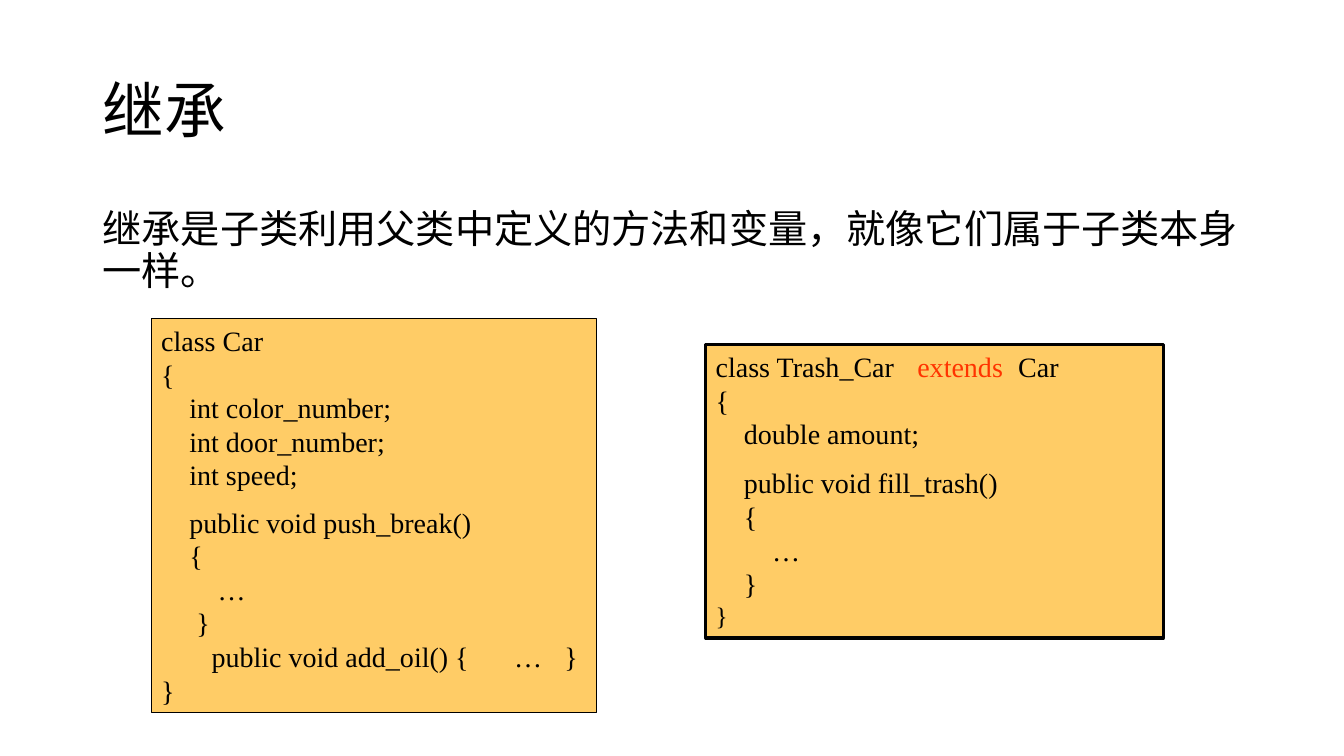
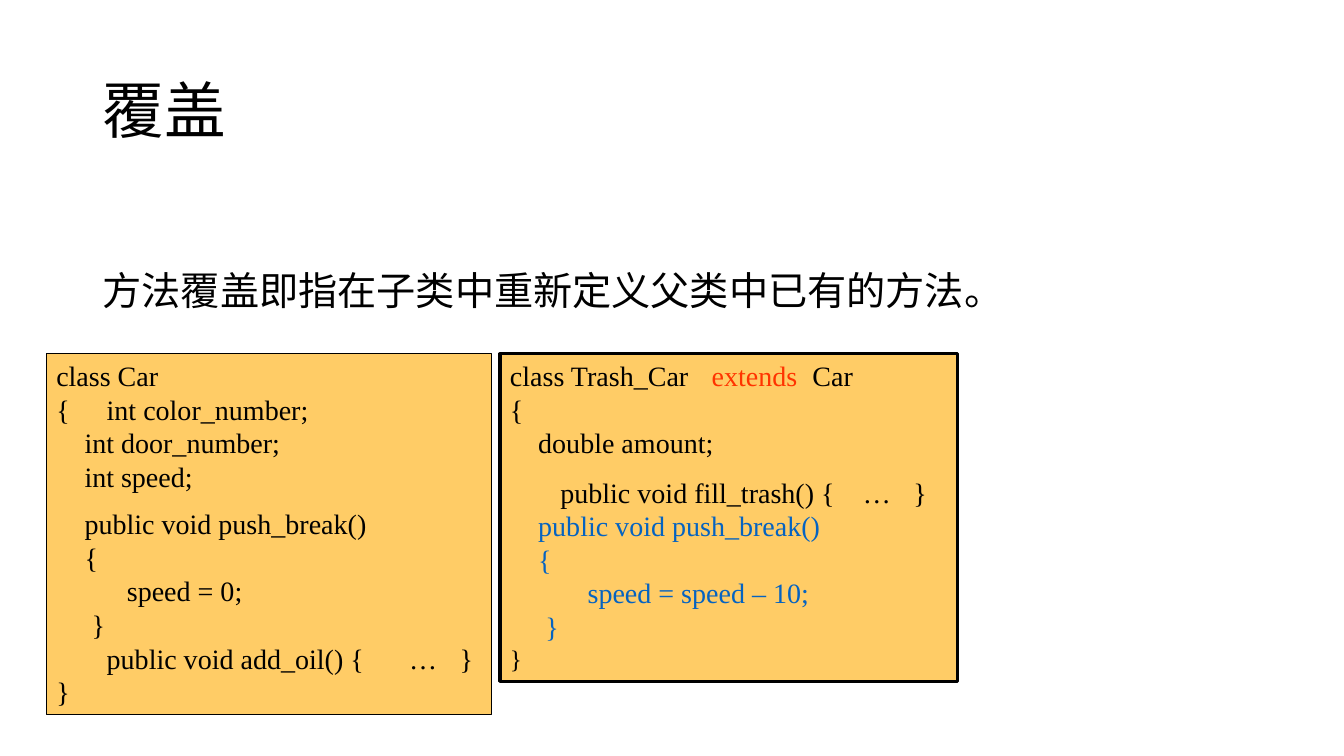
import pptx
import pptx.util
import pptx.dml.color
import pptx.enum.shapes
import pptx.enum.text
import lxml.etree

Inches, Pt = pptx.util.Inches, pptx.util.Pt
RGB = pptx.dml.color.RGBColor.from_string
ANCHOR = pptx.enum.text.MSO_ANCHOR

THEME = {
    "ink": "000000", "keyword": "FF3300", "override": "0563C1", "code_fill": "FFCC66",
    "latin": "Times New Roman", "cjk": "Noto Sans CJK SC",
    "title": 44, "body": 28, "code": 20, "brace": 18,
    "body_leading": 30, "code_leading": 24, "brace_leading": 21.6,
}
LEFT, WIDTH = 0.92, 11.5
SPACE = 0.07  # width of one code column, inches

# Content. Code line: (columns of indent, text, options); a tab jumps to the next stop.
CAR_END = [(5, "}", {}),
           (0, "\tpublic void add_oil() {\t…\t}", {"stops": (0.28, 2.93, 3.42)}),
           (0, "}", {})]
CAR_BREAK = [(4, "public void push_break()", {"before": 9.6}), (4, "{", {})]
TRASH_START = [
    (0, [("class Trash_Car\t", "ink"), ("extends\t", "keyword"), ("Car", "ink")],
     {"stops": (1.9, 2.88)}),
    (0, "{", {}),
    (4, "double amount;", {}),
]
TRASH_END = [(0, "}", {"size": "brace", "leading": "brace_leading"})]
BLUE = {"color": "override"}

SLIDES = [
    {"title": "继承", "body_top": 2.03,
     "body": "继承是子类利用父类中定义的方法和变量，就像它们属于子类本身一样。",
     "boxes": [
         ((1.5, 3.16, 4.42, 3.91), 0.75,
          [(0, "class Car", {}), (0, "{", {}), (4, "int color_number;", {}),
           (4, "int door_number;", {}), (4, "int speed;", {})]
          + CAR_BREAK + [(8, "…", {})] + CAR_END),
         ((7, 3.42, 4.54, 2.91), 2.25,
          TRASH_START
          + [(4, "public void fill_trash()", {"before": 11}), (4, "{", {}),
             (8, "…", {}), (4, "}", {})] + TRASH_END),
     ]},
    {"title": "覆盖", "body_top": 2.64,
     "body": "方法覆盖即指在子类中重新定义父类中已有的方法。",
     "boxes": [
         ((0.46, 3.51, 4.42, 3.58), 0.75,
          [(0, "class Car", {}), (0, "{\tint color_number;", {"stops": (0.35,)}),
           (4, "int door_number;", {}), (4, "int speed;", {})]
          + CAR_BREAK + [(10, "speed = 0;", {})] + CAR_END),
         ((4.96, 3.51, 4.54, 3.25), 2.25,
          TRASH_START
          + [(0, "\tpublic void fill_trash() {\t…\t}",
              {"before": 11, "stops": (0.28, 3.1, 3.52)}),
             (4, "public void push_break()", BLUE), (4, "{", BLUE),
             (11, "speed = speed – 10;", BLUE), (5, "}", BLUE)] + TRASH_END),
     ]},
]


def set_all(obj, values):
    for name, value in values.items():
        setattr(obj, name, value)


def add_run(p, text, size, font, color="ink"):
    r = p.add_run()
    r.text = text
    set_all(r.font, {"size": Pt(THEME[size]), "name": THEME[font]})
    r.font.color.rgb = RGB(THEME[color])
    ea = lxml.etree.SubElement(r.font._element, pptx.oxml.ns.qn("a:ea"))
    ea.set("typeface", THEME["cjk"])


def add_text(s, box, text, size, font, anchor, spacing):
    tf = s.shapes.add_textbox(*map(Inches, box)).text_frame
    set_all(tf, {"word_wrap": True, "vertical_anchor": anchor})
    p = tf.paragraphs[0]
    p.line_spacing = spacing
    add_run(p, text, size, font)


def indent(p, columns, stops):
    pPr = p._p.get_or_add_pPr()
    pPr.set("marL", str(Inches(columns * SPACE)))
    pPr.set("indent", "0")
    if stops:
        tabs = lxml.etree.SubElement(pPr, pptx.oxml.ns.qn("a:tabLst"))
        for stop in stops:
            tab = lxml.etree.SubElement(tabs, pptx.oxml.ns.qn("a:tab"))
            tab.set("pos", str(Inches(stop)))
            tab.set("algn", "l")


def add_code(s, box, border, lines):
    sp = s.shapes.add_shape(pptx.enum.shapes.MSO_SHAPE.RECTANGLE, *map(Inches, box))
    sp.shadow.inherit = False
    sp.fill.solid()
    sp.fill.fore_color.rgb = RGB(THEME["code_fill"])
    sp.line.color.rgb = RGB(THEME["ink"])
    sp.line.width = Pt(border)
    tf = sp.text_frame
    set_all(tf, {"word_wrap": True, "vertical_anchor": ANCHOR.TOP})
    for i, (columns, text, opts) in enumerate(lines):
        p = tf.add_paragraph() if i else tf.paragraphs[0]
        set_all(p, {"alignment": pptx.enum.text.PP_ALIGN.LEFT,
                    "line_spacing": Pt(THEME[opts.get("leading", "code_leading")]),
                    "space_before": Pt(opts.get("before", 0))})
        indent(p, columns, opts.get("stops"))
        runs = [(text, opts.get("color", "ink"))] if isinstance(text, str) else text
        for part, color in runs:
            add_run(p, part, opts.get("size", "code"), "latin", color)


def main():
    prs = pptx.Presentation()
    set_all(prs, {"slide_width": Inches(13.33), "slide_height": Inches(7.5)})
    for slide in SLIDES:
        s = prs.slides.add_slide(prs.slide_layouts[6])
        # Title and statement
        add_text(s, (LEFT, 0.4, WIDTH, 1.45), slide["title"],
                 "title", "latin", ANCHOR.MIDDLE, 0.9)
        add_text(s, (LEFT, slide["body_top"], WIDTH, 1), slide["body"],
                 "body", "cjk", ANCHOR.TOP, Pt(THEME["body_leading"]))
        # Code boxes
        for box, border, lines in slide["boxes"]:
            add_code(s, box, border, lines)
    prs.save("out.pptx")


if __name__ == "__main__":
    main()
